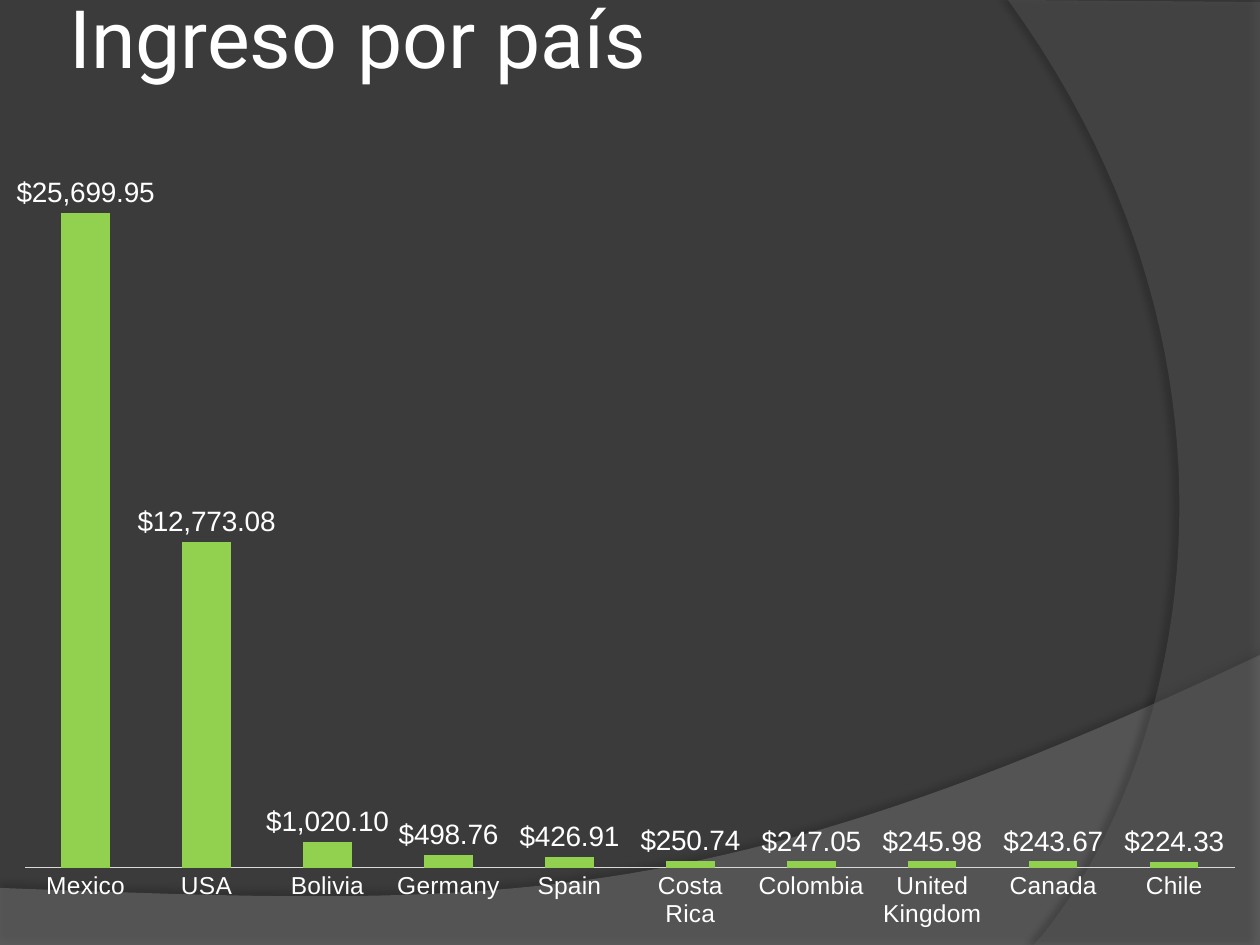
"""Build a slide with a column chart of income by country."""
from lxml import etree
from pptx import Presentation, util as u
from pptx.chart.data import CategoryChartData
from pptx.dml.color import RGBColor
from pptx.enum import chart as ch, text
from pptx.oxml import ns

PX = 914400 / 126
COLORS = {"back": "3B3B3B", "wave": "7F7F7F", "arc": "5E5E5E", "shadow": "000000",
          "text": "FFFFFF", "bar": "92D050", "axis": "D9D9D9"}
MONEY = '"$"#,##0.00'
TITLE = "Ingreso por país"
TITLE_BOX = (63, -43, 1134, 158)
CHART_BOX = (0, 86, 1260, 859)
PLOT = {"x": 0.02, "y": 0.02, "w": 0.96, "h": 0.89}
INCOME = [
    ("Mexico", 25699.95), ("USA", 12773.08), ("Bolivia", 1020.10),
    ("Germany", 498.76), ("Spain", 426.91), ("Costa Rica", 250.74),
    ("Colombia", 247.05), ("United Kingdom", 245.98), ("Canada", 243.67),
    ("Chile", 224.33),
]
SWEEPS = [
    {"color": "wave", "alpha": 45, "corners": [(0, 888), (0, 946), (1260, 946)],
     "curve": [(1260, 655), (704, 919), (493, 906), (0, 888)],
     "shadow": {"alpha": 35, "blur": 4, "dist": 3.5, "angle": 270}},
    {"color": "arc", "alpha": 40, "corners": [(1260, 2), (1260, 945)],
     "curve": [(1034, 945), (1178, 780), (1283, 378), (1008, 0)],
     "shadow": {"alpha": 45, "blur": 4, "dist": 4, "angle": 180}},
]


def rgb(name):
    return RGBColor.from_string(COLORS[name])


def emu(lengths):
    return [round(length * PX) for length in lengths]


def child(parent, tag, **attributes):
    return etree.SubElement(parent, ns.qn(tag),
                            {key: str(value) for key, value in attributes.items()})


def style(font, size, name="Arial", color="text"):
    font.size, font.name, font.bold = u.Pt(size), name, False
    font.color.rgb = rgb(color)


def write(frame, content, size, name, color="text"):
    frame.word_wrap = True
    frame.auto_size = text.MSO_AUTO_SIZE.NONE
    frame.vertical_anchor = text.MSO_ANCHOR.MIDDLE
    para = frame.paragraphs[0]
    para.alignment = text.PP_ALIGN.LEFT
    span = para.add_run()
    span.text = content
    style(span.font, size, name, color)


def bezier(points, steps=48):
    for step in range(steps + 1):
        t = step / steps
        weights = ((1 - t) ** 3, 3 * t * (1 - t) ** 2, 3 * t * t * (1 - t), t ** 3)
        yield tuple(sum(w * p[i] for w, p in zip(weights, points)) for i in (0, 1))


def add_sweep(slide, color, alpha, corners, curve, shadow):
    points = [*corners, *bezier(curve)]
    builder = slide.shapes.build_freeform(*emu(points[0]), scale=1.0)
    builder.add_line_segments([emu(point) for point in points[1:]], close=True)
    sweep = builder.convert_to_shape()
    sweep.line.fill.background()
    sweep.fill.solid()
    sweep.fill.fore_color.rgb = rgb(color)
    properties = sweep.fill._xPr
    child(properties.find(".//" + ns.qn("a:solidFill"))[0], "a:alpha", val=alpha * 1000)
    sweep.shadow.inherit = False
    outer = child(properties.find(ns.qn("a:effectLst")), "a:outerShdw",
                  blurRad=u.Pt(shadow["blur"]), dist=u.Pt(shadow["dist"]),
                  dir=shadow["angle"] * 60000, algn="ctr", rotWithShape=0)
    shade = child(outer, "a:srgbClr", val=COLORS["shadow"])
    child(shade, "a:alpha", val=shadow["alpha"] * 1000)


def add_income_chart(slide):
    data = CategoryChartData(number_format=MONEY)
    data.categories = [country for country, _ in INCOME]
    data.add_series("Series 1", [amount for _, amount in INCOME])
    chart = slide.shapes.add_chart(
        ch.XL_CHART_TYPE.COLUMN_CLUSTERED, *emu(CHART_BOX), data).chart
    chart.has_legend = chart.has_title = False
    style(chart.font, 10)

    countries, amounts = chart.category_axis, chart.value_axis
    countries.major_tick_mark = ch.XL_TICK_MARK.NONE
    countries.has_major_gridlines = False
    countries.format.line.color.rgb = rgb("axis")
    countries.format.line.width = u.Pt(0.75)
    style(countries.tick_labels.font, 14)
    amounts.visible = amounts.has_major_gridlines = False
    amounts.minimum_scale, amounts.maximum_scale = 0, 30000
    amounts.tick_labels.number_format = MONEY
    amounts.tick_labels.number_format_is_linked = False

    plot = chart.plots[0]
    plot.gap_width, plot.overlap, plot.vary_by_categories = 150, -25, False
    bars = plot.series[0]
    bars.format.fill.solid()
    bars.format.fill.fore_color.rgb = rgb("bar")
    labels = bars.data_labels
    labels.show_value = True
    labels.position = ch.XL_LABEL_POSITION.OUTSIDE_END
    labels.number_format, labels.number_format_is_linked = MONEY, False
    style(labels.font, 16)

    area = chart._chartSpace.find(".//" + ns.qn("c:plotArea"))
    for old in area.findall(ns.qn("c:layout")):
        area.remove(old)
    layout = etree.Element(ns.qn("c:layout"))
    area.insert(0, layout)
    manual = child(layout, "c:manualLayout")
    child(manual, "c:layoutTarget", val="inner")
    for side in "xy":
        child(manual, f"c:{side}Mode", val="edge")
    for side, share in PLOT.items():
        child(manual, f"c:{side}", val=share)


def main():
    deck = Presentation()
    deck.slide_width, deck.slide_height = emu((1260, 945))
    slide = deck.slides.add_slide(deck.slide_layouts[5])
    slide.background.fill.solid()
    slide.background.fill.fore_color.rgb = rgb("back")

    title = slide.shapes.title
    for sweep in SWEEPS:
        add_sweep(slide, **sweep)
    slide.shapes._spTree.append(title._element)
    title.left, title.top, title.width, title.height = emu(TITLE_BOX)
    frame = title.text_frame
    frame.margin_left = frame.margin_right = u.Inches(0.05)
    frame.margin_top = frame.margin_bottom = u.Inches(0.05)
    write(frame, TITLE, 46, "Roboto")
    add_income_chart(slide)
    deck.save("out.pptx")


if __name__ == "__main__":
    main()
